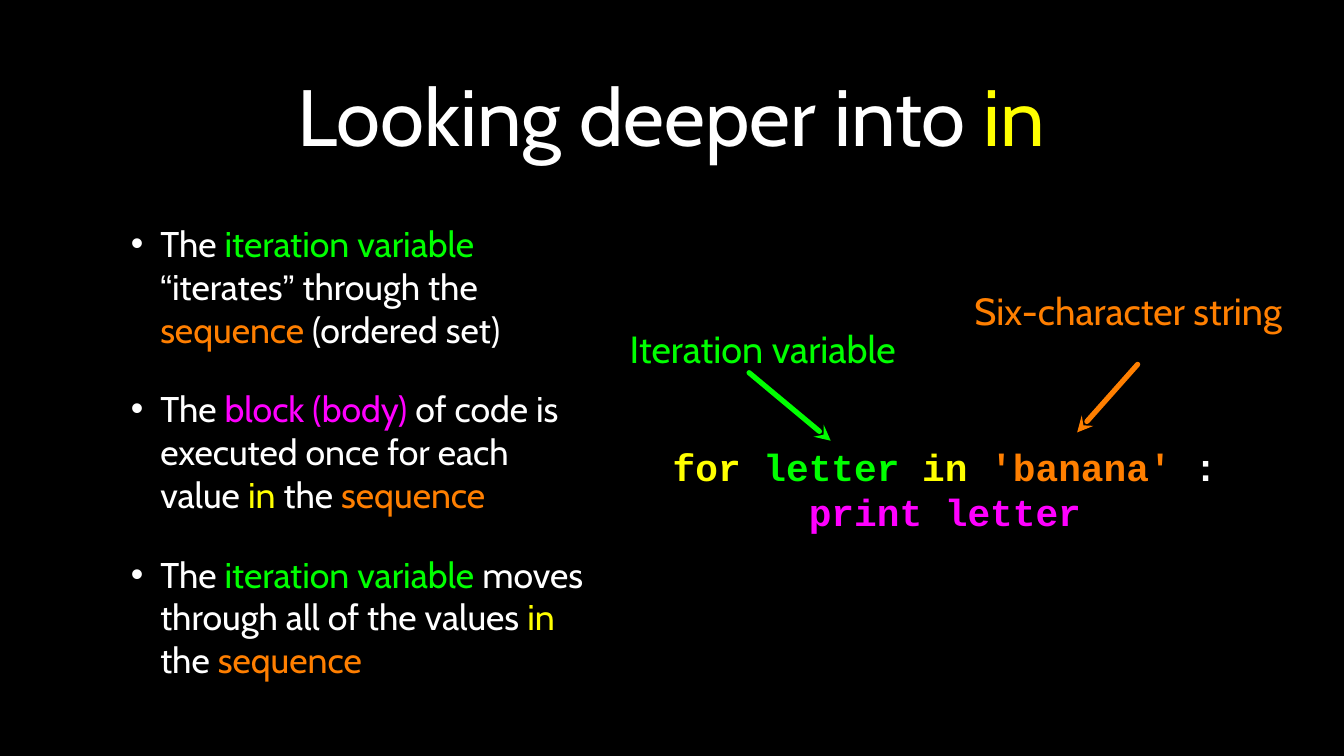
from pptx import Presentation
from pptx.util import Inches, Pt
from pptx.dml.color import RGBColor
from pptx.enum.shapes import MSO_CONNECTOR as Conn
from pptx.enum.text import MSO_ANCHOR as Anchor, MSO_AUTO_SIZE as Auto, PP_ALIGN as Align
from pptx.oxml.ns import qn
from lxml.etree import SubElement

# Content: each paragraph is a list of (text, colour[, font]) runs
WHITE, YELLOW, GREEN = "FFFFFF", "FFFF00", "00FF00"
ORANGE, PINK = "FF7F00", "FF00FF"
SANS, CODE = "Cabin", "Courier New"

TITLE = [("Looking deeper into ", WHITE), ("in", YELLOW)]
POINTS = [
    [("The ", WHITE), ("iteration variable ", GREEN), ("“", WHITE, "Arial"),
     ("iterates", WHITE), ("”", WHITE, "Arial"), (" through the ", WHITE),
     ("sequence ", ORANGE), ("(ordered set)", WHITE)],
    [("The ", WHITE), ("block (body)", PINK),
     (" of code is executed once for each value ", WHITE), ("in", YELLOW),
     (" the ", WHITE), ("sequence", ORANGE)],
    [("The ", WHITE), ("iteration variable ", GREEN),
     ("moves through all of the values ", WHITE), ("in", YELLOW),
     (" the ", WHITE), ("sequence", ORANGE)],
]
LOOP = [
    [("for ", YELLOW), ("letter ", GREEN), ("in ", YELLOW),
     ("'banana' ", ORANGE), (":", WHITE)],
    [("print letter", PINK)],
]
# Label, colour, text box, arrow tip, arrow tail
LABELS = [
    ("Iteration variable", GREEN, (8.31, 4.27, 3.56, 0.68), (10.99, 5.83), (9.91, 4.93)),
    ("Six-character string", ORANGE, (12.36, 3.76, 5.13, 0.68), (14.25, 5.72), (15.05, 4.82)),
]


def paint(color, hue):
    color.rgb = RGBColor.from_string(hue)


def fill(shape, box, paras, size, font=SANS, align=Align.LEFT, inset=0.0):
    """Place a shape and write its paragraphs."""
    shape.left, shape.top, shape.width, shape.height = map(Inches, box)
    frame = shape.text_frame
    frame.word_wrap, frame.auto_size = True, Auto.NONE
    frame.vertical_anchor = Anchor.MIDDLE
    frame.margin_left = frame.margin_right = Inches(inset)
    frame.margin_top = frame.margin_bottom = Inches(inset)
    for i, runs in enumerate(paras):
        para = frame.add_paragraph() if i else frame.paragraphs[0]
        para.alignment, para.space_before = align, Pt(0)
        para.font.size, para.font.name = Pt(size), font
        for text, hue, *face in runs:
            run = para.add_run()
            run.text = text
            paint(run.font.color, hue)
            run.font.name = face[0] if face else font
    return frame.paragraphs


def indent(para, left, first=0.0):
    props = para._p.get_or_add_pPr()
    props.set("marL", str(Inches(left)))
    props.set("indent", str(Inches(first)))
    return props


def bullet(para, hue):
    props = indent(para, 0.82, -0.39)
    SubElement(SubElement(props, qn("a:buClr")), qn("a:srgbClr"), val=hue)
    SubElement(props, qn("a:buFont"), typeface="Arial")
    SubElement(props, qn("a:buChar"), char="•")


def arrow(tip, tail, hue):
    line = slide.shapes.add_connector(Conn.STRAIGHT, *map(Inches, tip + tail))
    paint(line.line.color, hue)
    line.line.width = Pt(5)
    stroke = line.line._get_or_add_ln()
    stroke.set("cap", "rnd")
    SubElement(stroke, qn("a:headEnd"), type="stealth")
    SubElement(line._element.spPr, qn("a:effectLst"))


# Slide
deck = Presentation()
deck.slide_width, deck.slide_height = Inches(17.78), Inches(10)
slide = deck.slides.add_slide(deck.slide_layouts[1])
back = slide.background.fill
back.solid()
paint(back.fore_color, "000000")

# Title and list
title, body = slide.placeholders
fill(title, (1.26, 0.26, 15.24, 2.51), [TITLE], 76, align=Align.CENTER, inset=0.04)
for i, para in enumerate(fill(body, (1.26, 2.85, 6.54, 6.24), POINTS, 34, inset=0.04)):
    para.space_before = Pt(35 if i else 0)
    bullet(para, WHITE)

# Code, with the loop body set in by six characters
code = slide.shapes.add_textbox(0, 0, 0, 0)
lines = fill(code, (8.9, 5.72, 7.87, 1.5), LOOP, 36, CODE)
for para in lines:
    para.font.bold = True
    for run in para.runs:
        run.font.bold = True
indent(lines[1], 1.8)

# Labels and arrows
for text, hue, box, tip, tail in LABELS:
    label = slide.shapes.add_textbox(0, 0, 0, 0)
    fill(label, box, [[(text, hue)]], 36, align=Align.CENTER)
    arrow(tip, tail, hue)

deck.save("out.pptx")
